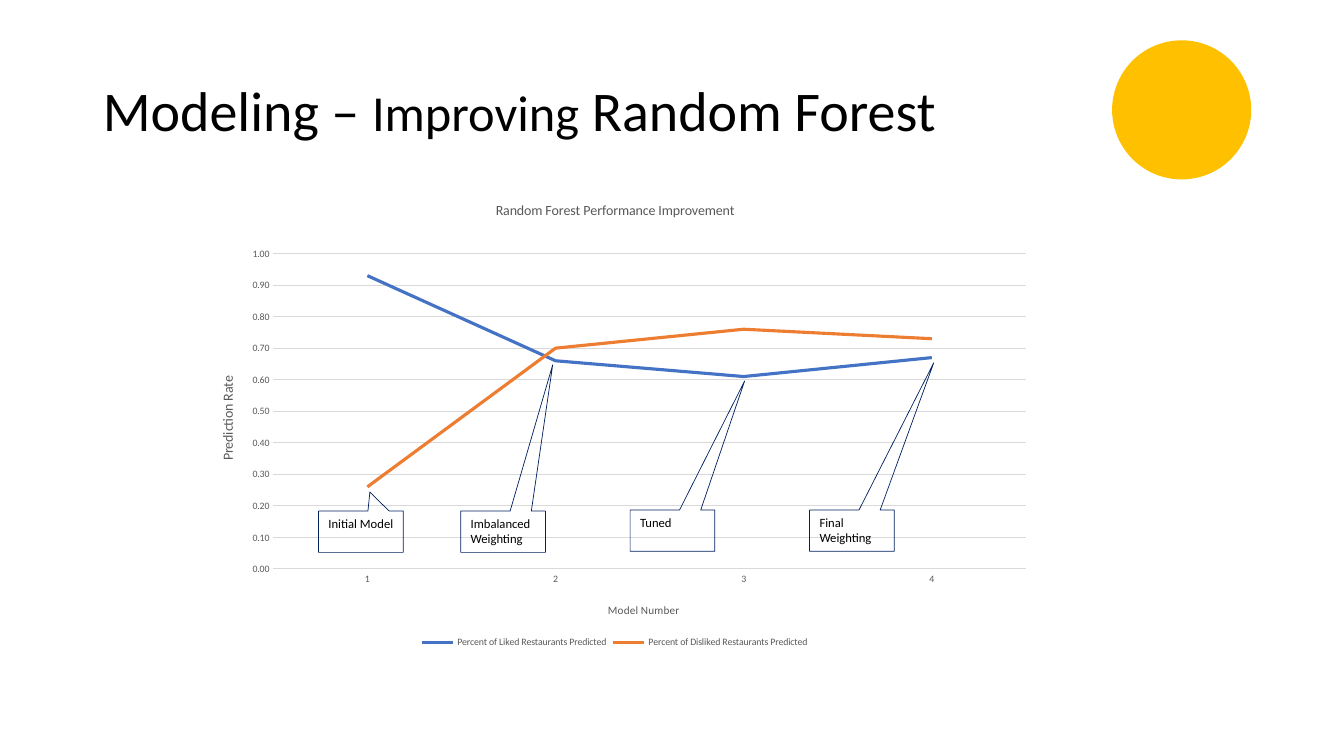
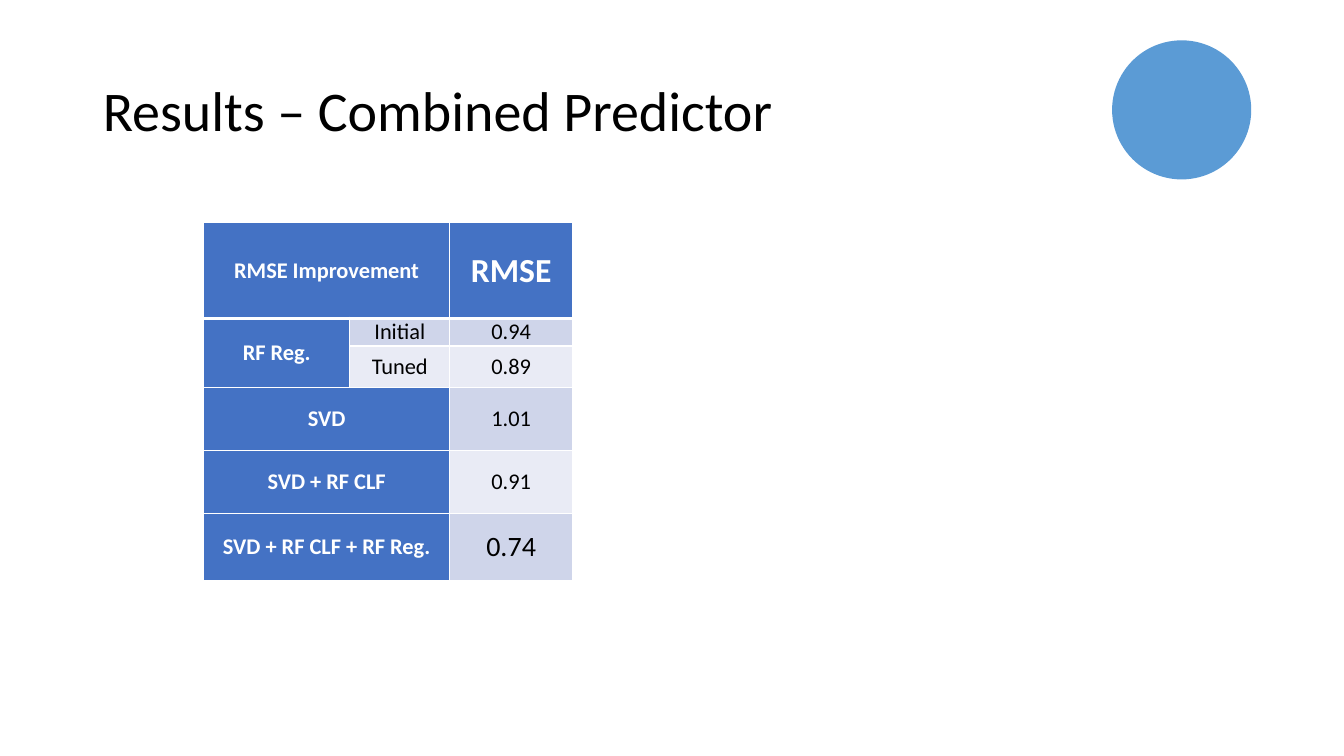
"""Build two slides on model results: a random forest line chart and an RMSE table."""
from dataclasses import dataclass
from typing import Any, Optional

import lxml.etree
import pptx
import pptx.chart.data
import pptx.dml.color
import pptx.enum.chart
import pptx.enum.shapes
import pptx.enum.text
import pptx.oxml.ns
import pptx.presentation
import pptx.slide
import pptx.util

PX = 9144
TITLE_ONLY = 5
FONT = "Calibri"
WHITE, BLACK, GRAY, GRID = "FFFFFF", "000000", "595959", "D9D9D9"
BLUE, ORANGE, NAVY = "4472C4", "ED7D31", "002060"
GOLD, SKY = "FFC000", "5B9BD5"
BANDS = ("E9EBF5", "CFD5EA")
TITLE_BOX = (92, 40, 1150, 145)
CIRCLE_BOX = (1103, 40, 138, 138)
CHART_BOX = (180, 178, 859, 469)
TABLE_BOX = (202, 221, 366, 355)
COLUMN_WIDTHS = (145, 99, 122)
NO_FIT = pptx.enum.text.MSO_AUTO_SIZE.NONE
LEFT, CENTER = pptx.enum.text.PP_ALIGN.LEFT, pptx.enum.text.PP_ALIGN.CENTER
TOP, MIDDLE = pptx.enum.text.MSO_ANCHOR.TOP, pptx.enum.text.MSO_ANCHOR.MIDDLE
TITLE_FRAME = {"word_wrap": True, "auto_size": NO_FIT, "vertical_anchor": MIDDLE}
CALLOUT_FRAME = {"word_wrap": True, "auto_size": NO_FIT, "vertical_anchor": TOP, "margin_right": 5 * PX}
CELL_FORMAT = {"vertical_anchor": MIDDLE, "margin_left": 7 * PX, "margin_right": 7 * PX,
               "margin_top": 0, "margin_bottom": 0}


@dataclass(frozen=True)
class Span:
    """A piece of text with one look."""
    text: str
    size: int
    color: str = BLACK
    bold: bool = False


@dataclass(frozen=True)
class Callout:
    """A label whose pointer ends at a point of the chart."""
    text: str
    left: int
    top: int
    tip: tuple[float, float]


@dataclass(frozen=True)
class Series:
    """A chart line."""
    name: str
    values: tuple[float, ...]
    color: str


@dataclass(frozen=True)
class Row:
    """A table row; without a step the label covers two columns."""
    height: int
    label: str
    step: Optional[str]
    value: str
    size: int = 16


CALLOUTS = (
    Callout("Initial Model", 316, 507, (0.106, -0.962)),
    Callout("Imbalanced Weighting", 457, 507, (0.586, -4.042)),
    Callout("Tuned", 625, 506, (0.852, -3.624)),
    Callout("Final Weighting", 803, 506, (0.966, -4.064)),
)
SERIES = (
    Series("Percent of Liked Restaurants Predicted", (0.93, 0.66, 0.61, 0.67), BLUE),
    Series("Percent of Disliked Restaurants Predicted", (0.26, 0.7, 0.76, 0.73), ORANGE),
)
ROWS = (
    Row(95, "RMSE Improvement", None, "RMSE", 24),
    Row(27, "RF Reg.", "Initial", "0.94"),
    Row(41, "", "Tuned", "0.89"),
    Row(63, "SVD", None, "1.01"),
    Row(62, "SVD + RF CLF", None, "0.91"),
    Row(67, "SVD + RF CLF + RF Reg.", None, "0.74", 20),
)


def rgb(color: str) -> pptx.dml.color.RGBColor:
    """Turn a hex string into a colour."""
    return pptx.dml.color.RGBColor.from_string(color)


def emu(lengths: tuple[int, ...]) -> list[int]:
    """Scale px to EMU."""
    return [length * PX for length in lengths]


def set_all(target: Any, values: dict[str, Any]) -> None:
    """Set every named attribute."""
    for name, value in values.items():
        setattr(target, name, value)


def style_font(font: Any, size: int, color: str, bold: bool = False) -> None:
    """Format a font."""
    set_all(font, {"name": FONT, "size": pptx.util.Pt(size), "bold": bold})
    font.color.rgb = rgb(color)


def style_line(line: Any, color: str, width: float) -> None:
    """Format a line."""
    line.color.rgb = rgb(color)
    line.width = pptx.util.Pt(width)


def write(frame: Any, spans: tuple[Span, ...], align: Any = None) -> Any:
    """Write spans into the first paragraph."""
    para = frame.paragraphs[0]
    if align is not None:
        para.alignment = align
    for span in spans:
        run = para.add_run()
        run.text = span.text
        style_font(run.font, span.size, span.color, span.bold)
    return para


def add_page(deck: pptx.presentation.Presentation, spans: tuple[Span, ...], color: str) -> pptx.slide.Slide:
    """Add a slide with its title and corner circle."""
    page = deck.slides.add_slide(deck.slide_layouts[TITLE_ONLY])
    title = page.shapes.title
    set_all(title, dict(zip(("left", "top", "width", "height"), emu(TITLE_BOX))))
    set_all(title.text_frame, TITLE_FRAME)
    write(title.text_frame, spans, LEFT).line_spacing = 0.9
    circle = page.shapes.add_shape(pptx.enum.shapes.MSO_SHAPE.OVAL, *emu(CIRCLE_BOX))
    circle.shadow.inherit = False
    circle.fill.solid()
    circle.fill.fore_color.rgb = rgb(color)
    circle.line.fill.background()
    return page


def add_element(parent: Any, tag: str, **attributes: str) -> Any:
    """Append a namespaced XML element."""
    return lxml.etree.SubElement(parent, pptx.oxml.ns.qn(tag), attributes)


def place(parent: Any, index: int, values: dict[str, Any]) -> None:
    """Give a chart part a manual layout."""
    tag = pptx.oxml.ns.qn("c:layout")
    former = parent.find(tag)
    if former is not None:
        parent.remove(former)
    layout = parent.makeelement(tag)
    parent.insert(index, layout)
    manual = add_element(layout, "c:manualLayout")
    for name, value in values.items():
        add_element(manual, f"c:{name}", val=str(value))


def add_chart_title(title: Any, text: str, size: int, x: float, y: float) -> None:
    """Write and place a chart or axis title."""
    write(title.text_frame, (Span(text, size, GRAY),))
    place(title._element, 1, {"xMode": "edge", "yMode": "edge", "x": x, "y": y})


def add_forest_chart(page: pptx.slide.Slide) -> None:
    """Draw the performance line chart."""
    data = pptx.chart.data.CategoryChartData(number_format="0.00")
    data.categories = ["1", "2", "3", "4"]
    for series in SERIES:
        data.add_series(series.name, series.values)
    kind = pptx.enum.chart.XL_CHART_TYPE.LINE
    chart = page.shapes.add_chart(kind, *emu(CHART_BOX), data).chart
    style_font(chart.font, 10, BLACK)
    chart.has_legend = True
    set_all(chart.legend, {"position": pptx.enum.chart.XL_LEGEND_POSITION.BOTTOM, "include_in_layout": False})
    style_font(chart.legend.font, 7, GRAY)
    plot = chart.plots[0]
    plot.vary_by_categories = False
    for line, series in zip(plot.series, SERIES):
        line.smooth = False
        style_line(line.format.line, series.color, 2.25)
    rates, models = chart.value_axis, chart.category_axis
    no_tick = pptx.enum.chart.XL_TICK_MARK.NONE
    for axis in (rates, models):
        set_all(axis, {"major_tick_mark": no_tick, "minor_tick_mark": no_tick})
        style_font(axis.tick_labels.font, 7, GRAY)
    set_all(rates, {"minimum_scale": 0, "maximum_scale": 1, "major_unit": 0.1, "has_major_gridlines": True})
    set_all(rates.tick_labels, {"number_format": "0.00", "number_format_is_linked": False})
    rates.format.line.fill.background()
    style_line(rates.major_gridlines.format.line, GRID, 0.75)
    style_line(models.format.line, GRID, 0.75)
    models.has_major_gridlines = False
    between = pptx.oxml.ns.qn("c:crossBetween")
    if rates._element.find(between) is None:
        crosses = rates._element.find(pptx.oxml.ns.qn("c:crosses"))
        crosses.addnext(rates._element.makeelement(between, {"val": "between"}))
    add_chart_title(chart.chart_title, "Random Forest Performance Improvement", 10, 0.36, 0.04)
    add_chart_title(rates.axis_title, "Prediction Rate", 10, 0.04, 0.41)
    add_chart_title(models.axis_title, "Model Number", 8, 0.49, 0.89)
    area = chart._chartSpace.find(".//" + pptx.oxml.ns.qn("c:plotArea"))
    place(area, 0, {"layoutTarget": "inner", "xMode": "edge", "yMode": "edge",
                    "x": 0.106, "y": 0.157, "w": 0.869, "h": 0.667})


def add_callout(page: pptx.slide.Slide, callout: Callout) -> None:
    """Draw an outlined callout."""
    kind = pptx.enum.shapes.MSO_SHAPE.RECTANGULAR_CALLOUT
    box = page.shapes.add_shape(kind, *emu((callout.left, callout.top, 84, 41)))
    box.shadow.inherit = False
    box.fill.background()
    style_line(box.line, NAVY, 0.5)
    for index, offset in enumerate(callout.tip):
        box.adjustments[index] = offset
    set_all(box.text_frame, CALLOUT_FRAME)
    write(box.text_frame, (Span(callout.text, 9),), LEFT)


def add_borders(cell: Any, top: int, bottom: int) -> None:
    """Draw white cell borders with widths in points."""
    properties = cell._tc.get_or_add_tcPr()
    for index, (side, width) in enumerate({"L": 1, "R": 1, "T": top, "B": bottom}.items()):
        line = add_element(properties, f"a:ln{side}", w=str(pptx.util.Pt(width)))
        add_element(add_element(line, "a:solidFill"), "a:srgbClr", val=WHITE)
        properties.insert(index, line)


def add_rmse_table(page: pptx.slide.Slide) -> None:
    """Draw the RMSE table."""
    table = page.shapes.add_table(len(ROWS), len(COLUMN_WIDTHS), *emu(TABLE_BOX)).table
    set_all(table, {"first_row": False, "horz_banding": False})
    for column, width in zip(table.columns, emu(COLUMN_WIDTHS)):
        column.width = width
    for number, row in enumerate(ROWS):
        table.rows[number].height = row.height * PX
        for place_in_row, text in enumerate((row.label, row.step, row.value)):
            cell = table.cell(number, place_in_row)
            heading = number == 0 or place_in_row == 0 or (place_in_row == 1 and row.step is None)
            set_all(cell, CELL_FORMAT)
            cell.fill.solid()
            cell.fill.fore_color.rgb = rgb(BLUE if heading else BANDS[number % 2])
            add_borders(cell, 3 if number == 1 else 1, 3 if number == 0 else 1)
            if text:
                size = row.size if place_in_row == 2 else 16
                write(cell.text_frame, (Span(text, size, WHITE if heading else BLACK, heading),), CENTER)
        if row.step is None:
            table.cell(number, 0).merge(table.cell(number, 1))
    table.cell(1, 0).merge(table.cell(2, 0))


def main() -> None:
    """Build and save the deck."""
    deck = pptx.Presentation()
    deck.slide_width, deck.slide_height = emu((1333, 750))
    forest_title = (Span("Modeling – ", 40), Span("Improving", 36), Span(" Random Forest", 40))
    forest = add_page(deck, forest_title, GOLD)
    add_forest_chart(forest)
    for callout in CALLOUTS:
        add_callout(forest, callout)
    results = add_page(deck, (Span("Results – Combined Predictor", 40),), SKY)
    add_rmse_table(results)
    deck.save("out.pptx")


if __name__ == "__main__":
    main()
